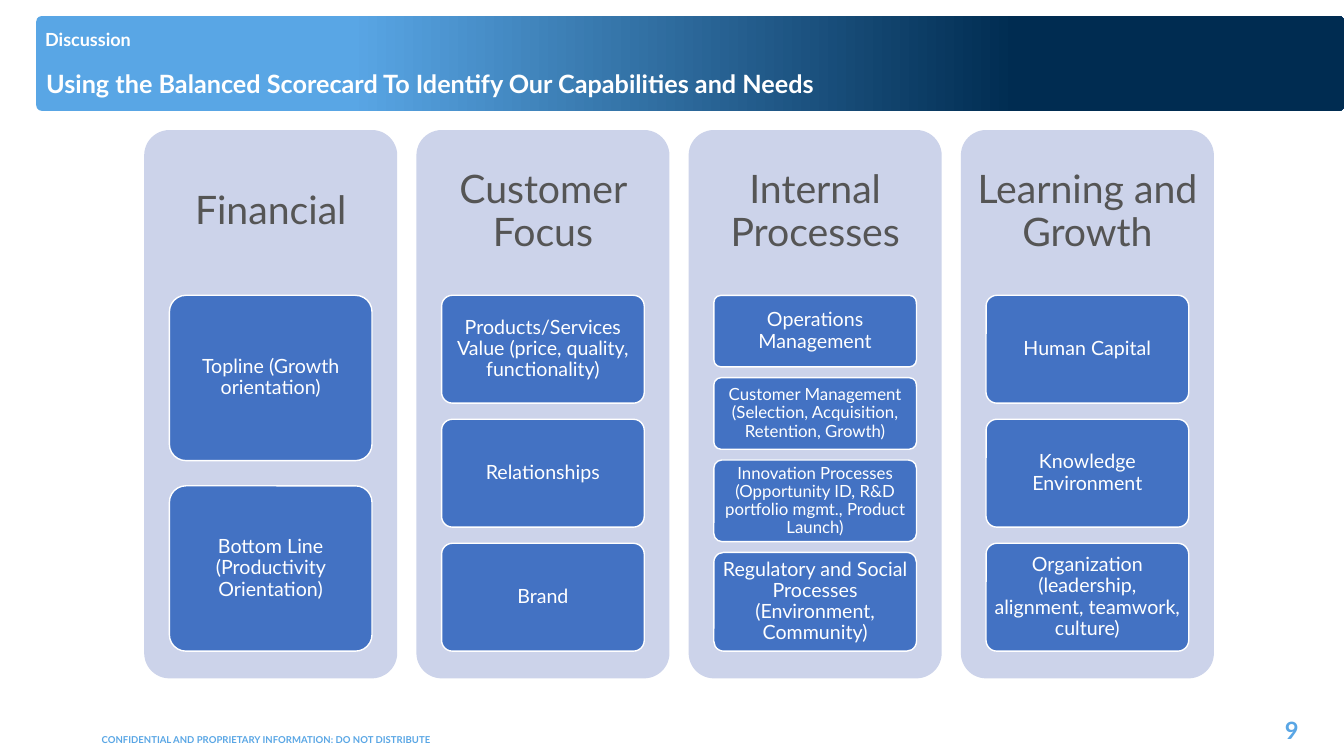
from copy import deepcopy

from pptx import Presentation
from pptx.dml.color import RGBColor
from pptx.enum.shapes import MSO_SHAPE
from pptx.enum.text import MSO_ANCHOR, PP_ALIGN
from pptx.oxml.ns import qn
from pptx.util import Inches, Pt

ROUND = MSO_SHAPE.ROUNDED_RECTANGLE
TOP, MIDDLE, BOTTOM = MSO_ANCHOR.TOP, MSO_ANCHOR.MIDDLE, MSO_ANCHOR.BOTTOM
LEFT, CENTER, RIGHT = PP_ALIGN.LEFT, PP_ALIGN.CENTER, PP_ALIGN.RIGHT

WHITE = RGBColor(0xFF, 0xFF, 0xFF)
SKY = RGBColor(0x59, 0xA6, 0xE5)
NAVY = RGBColor(0x00, 0x2C, 0x51)
PALE = RGBColor(0xCC, 0xD3, 0xEA)
BLUE = RGBColor(0x43, 0x72, 0xC3)
GRAY = RGBColor(0x55, 0x55, 0x55)

# Heading, then cards as (text, height, font size)
COLUMNS = [
    ("Financial", [
        ("Topline (Growth orientation)", 1.64, 14),
        ("Bottom Line (Productivity Orientation)", 1.64, 14),
    ]),
    ("Customer Focus", [
        ("Products/Services Value (price, quality, functionality)", 1.07, 14),
        ("Relationships", 1.07, 14),
        ("Brand", 1.07, 14),
    ]),
    ("Internal Processes", [
        ("Operations Management", 0.71, 14),
        ("Customer Management (Selection, Acquisition, Retention, Growth)",
         0.71, 12),
        ("Innovation Processes (Opportunity ID, R&D portfolio mgmt., "
         "Product Launch)", 0.81, 12),
        ("Regulatory and Social Processes (Environment, Community)",
         0.98, 14),
    ]),
    ("Learning and Growth", [
        ("Human Capital", 1.07, 14),
        ("Knowledge Environment", 1.07, 14),
        ("Organization (leadership, alignment, teamwork, culture)",
         1.07, 14),
    ]),
]

prs = Presentation()
prs.slide_width, prs.slide_height = Inches(13.33), Inches(7.5)
shapes = prs.slides.add_slide(prs.slide_layouts[6]).shapes


def add_round(x, y, w, h, adj):
    shape = shapes.add_shape(ROUND, Inches(x), Inches(y), Inches(w), Inches(h))
    shape.adjustments[0] = adj
    shape.shadow.inherit = False
    shape.line.fill.background()
    return shape


def write(shape, text, size, color, bold=False, align=LEFT, anchor=TOP,
          pad=(0.1, 0.05), space=1.0):
    """Fill a shape with one styled paragraph; pad is (side, top) inches."""
    frame = shape.text_frame
    frame.word_wrap = True
    frame.vertical_anchor = anchor
    frame.margin_left = frame.margin_right = Inches(pad[0])
    frame.margin_top = frame.margin_bottom = Inches(pad[1])
    para = frame.paragraphs[0]
    para.text = text
    para.alignment = align
    para.line_spacing = space
    font = para.runs[0].font
    font.name, font.size, font.bold = "Lato", Pt(size), bold
    font.color.rgb = color


# Header band
band = add_round(0.36, 0.16, 12.97, 0.94, 0.057)
band.fill.gradient()
band.fill.gradient_angle = 0
stops = band._element.spPr.find(qn("a:gradFill")).find(qn("a:gsLst"))
for stop in list(stops):
    stops.append(deepcopy(stop))
shades = [(0, SKY), (0.24, SKY), (0.75, NAVY), (1, NAVY)]
for stop, (place, color) in zip(band.fill.gradient_stops, shades):
    stop.position = place
    stop.color.rgb = color

# Header and footer text
LABELS = [
    ((0.36, 0.51, 10.1, 0.52),
     "Using the Balanced Scorecard To Identify Our Capabilities and Needs",
     18, WHITE, LEFT, BOTTOM, 0.9),
    ((0.35, 0.29, 7.35, 0.27), "Discussion", 12.9, WHITE, LEFT, TOP, 0.7),
    ((0.91, 7.23, 3.5, 0.22),
     "CONFIDENTIAL AND PROPRIETARY INFORMATION: DO NOT DISTRIBUTE",
     6.8, SKY, LEFT, TOP, 1.0),
    ((11.87, 7.05, 1.11, 0.39), "9", 17, SKY, RIGHT, MIDDLE, 1.0),
]
for place, text, size, color, align, anchor, space in LABELS:
    box = shapes.add_textbox(*map(Inches, place))
    write(box, text, size, color, True, align, anchor, space=space)

# Scorecard columns: cards share the same span, gaps take what is left
PITCH, WIDTH, INSET = 2.7, 2.51, 0.25
CARD_TOP, SPAN = 2.93, 3.53
for col, (heading, cards) in enumerate(COLUMNS):
    x = 1.43 + col * PITCH
    panel = add_round(x, 1.29, WIDTH, 5.44, 0.1)
    panel.fill.solid()
    panel.fill.fore_color.rgb = PALE
    box = shapes.add_textbox(Inches(x), Inches(1.29), Inches(WIDTH),
                             Inches(1.63))
    write(box, heading, 28, GRAY, False, CENTER, MIDDLE, (0.14, 0.14), 0.9)

    gap = (SPAN - sum(card[1] for card in cards)) / (len(cards) - 1)
    y = CARD_TOP
    for text, height, size in cards:
        card = add_round(x + INSET, y, WIDTH - 2 * INSET, height, 0.1)
        card.fill.solid()
        card.fill.fore_color.rgb = BLUE
        card.line.color.rgb = WHITE
        card.line.width = Pt(1)
        write(card, text, size, WHITE, False, CENTER, MIDDLE,
              (0.04, 0.03), 0.9)
        y += height + gap

prs.save("out.pptx")
